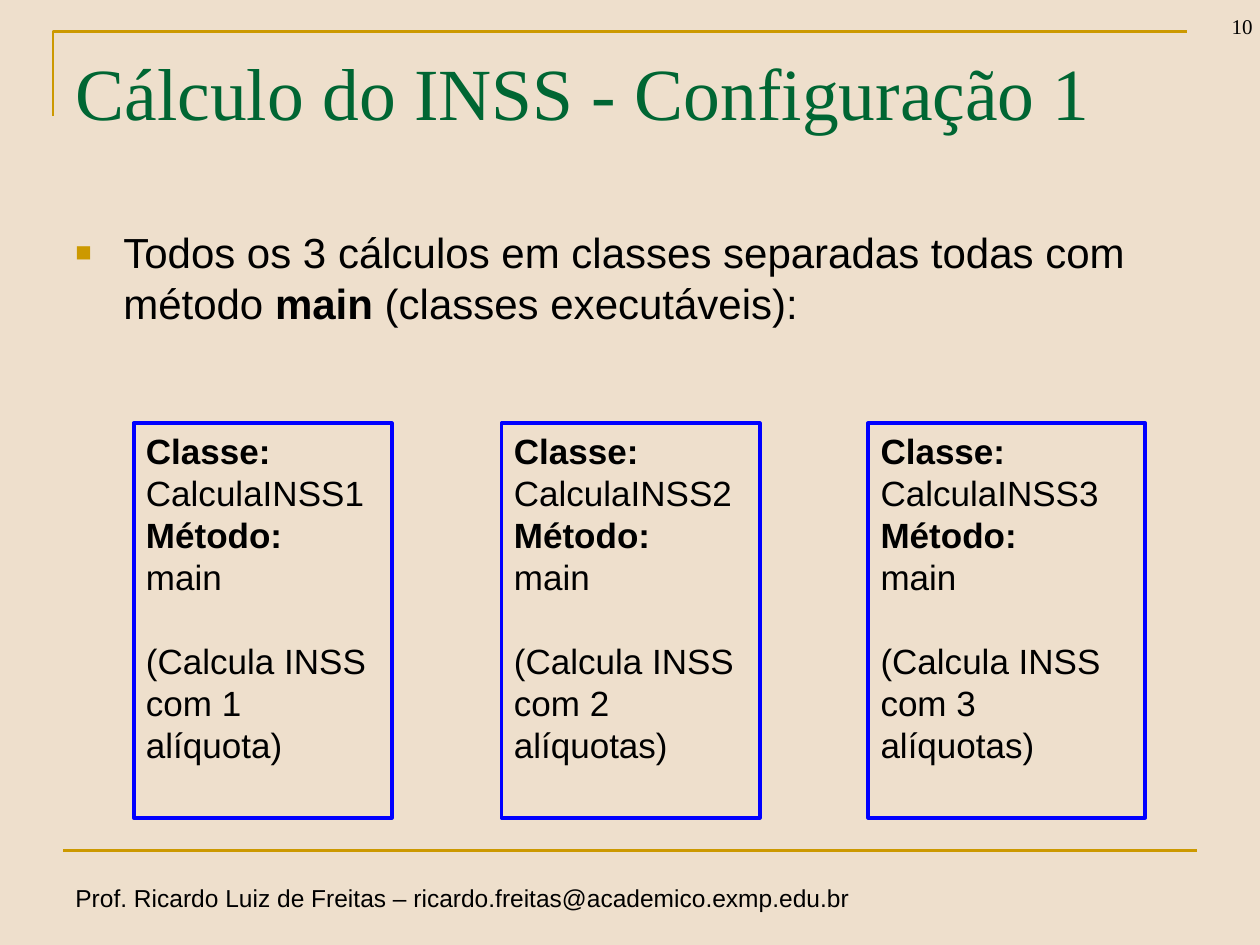
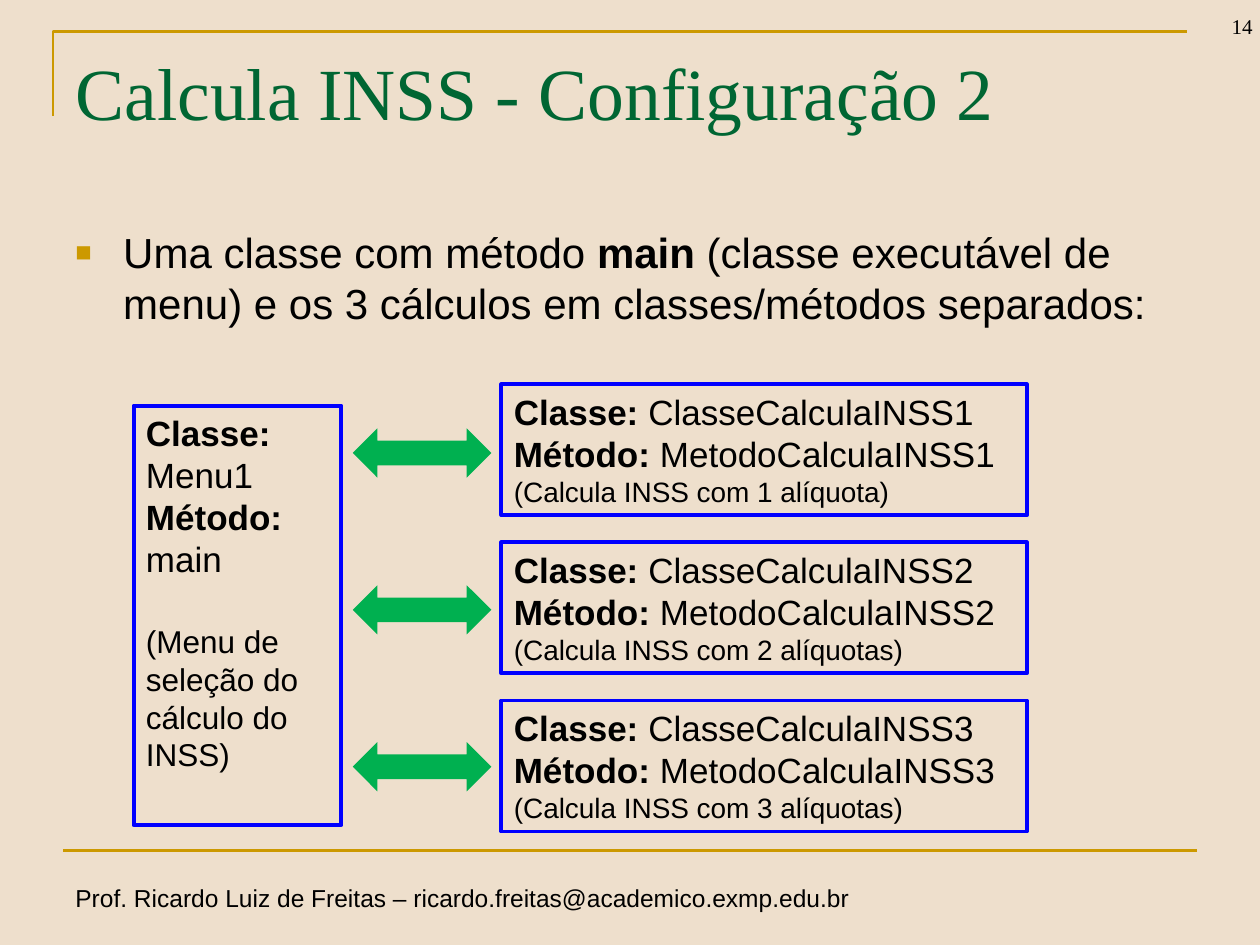
import pptx
import pptx.dml.color
import pptx.enum.shapes
import pptx.enum.text
import pptx.oxml
import pptx.oxml.ns
import pptx.util
from pptx.util import Inches

RGBColor = pptx.dml.color.RGBColor
Shape = pptx.enum.shapes.MSO_SHAPE
Anchor = pptx.enum.text.MSO_ANCHOR
Align = pptx.enum.text.PP_ALIGN

SAND = RGBColor(0xEE, 0xDF, 0xCC)
GOLD = RGBColor(0xCC, 0x99, 0x00)
DARK_GREEN = RGBColor(0x00, 0x66, 0x33)
ARROW_GREEN = RGBColor(0x00, 0xB0, 0x50)
BLUE = RGBColor(0x00, 0x00, 0xFF)
BLACK = RGBColor(0x00, 0x00, 0x00)

SANS = "Arial"
SERIF = "Times New Roman"
LINE_HEIGHT = 1.2
TITLE_ONLY = 5
FOOTER = "Prof. Ricardo Luiz de Freitas – ricardo.freitas@academico.exmp.edu.br"
CLASS_NOTES = ["(Calcula INSS com 1 alíquota)",
               "(Calcula INSS com 2 alíquotas)",
               "(Calcula INSS com 3 alíquotas)"]


def write_paragraph(para, spans, size, font=SANS, color=BLACK, gap=0):
    """Fill a paragraph with (text, bold) spans; gap is the space before it."""
    for text, bold in spans:
        span = para.add_run()
        span.text = text
        if bold:
            span.font.bold = True
    para.alignment = Align.LEFT
    para.line_spacing = pptx.util.Pt(size * LINE_HEIGHT)
    para.space_before = pptx.util.Pt(gap)
    para.font.size = pptx.util.Pt(size)
    para.font.name = font
    para.font.color.rgb = color


def add_text(page, box, spans, size, font=SANS, wrap=True):
    frame = page.shapes.add_textbox(*map(Inches, box)).text_frame
    frame.word_wrap = wrap
    para = frame.paragraphs[0]
    write_paragraph(para, spans, size, font)
    return para


def add_gold_line(line):
    line.color.rgb = GOLD
    line.width = pptx.util.Pt(1.5)


def add_frame_lines(page):
    builder = page.shapes.build_freeform(Inches(0.42), Inches(0.92))
    builder.add_line_segments([(Inches(0.42), Inches(0.25)),
                               (Inches(9.42), Inches(0.25))], close=False)
    corner = builder.convert_to_shape()
    corner.shadow.inherit = False
    corner.fill.background()
    add_gold_line(corner.line)

    rule = page.shapes.add_connector(
        pptx.enum.shapes.MSO_CONNECTOR.STRAIGHT,
        Inches(0.5), Inches(6.75), Inches(9.5), Inches(6.75))
    add_gold_line(rule.line)
    properties = rule._element.spPr
    properties.append(properties.makeelement(pptx.oxml.ns.qn("a:effectLst"), {}))


def set_title(page, text):
    title = page.shapes.title
    title.left, title.top, title.width, title.height = map(
        Inches, (0.5, 0.3, 9, 1.25))
    frame = title.text_frame
    frame.word_wrap = True
    frame.auto_size = pptx.enum.text.MSO_AUTO_SIZE.NONE
    frame.vertical_anchor = Anchor.TOP
    frame.margin_top = Inches(0.07)
    write_paragraph(frame.paragraphs[0], [(text, False)], 42, SERIF, DARK_GREEN)


def add_bullet(page, spans, width):
    para = add_text(page, (0.5, 1.75, width, 1.25), spans, 24)
    properties = para._p.get_or_add_pPr()
    properties.set("marL", str(Inches(0.38)))
    properties.set("indent", str(Inches(-0.38)))
    namespace = pptx.oxml.ns.nsdecls("a")
    run_defaults = properties.find(pptx.oxml.ns.qn("a:defRPr"))
    for xml in (f'<a:buClr {namespace}><a:srgbClr val="{GOLD}"/></a:buClr>',
                f'<a:buSzPct {namespace} val="65000"/>',
                f'<a:buFont {namespace} typeface="{SANS}"/>',
                f'<a:buChar {namespace} char="■"/>'):
        run_defaults.addprevious(pptx.oxml.parse_xml(xml))


def add_page(deck, title, number, bullet, bullet_width=9):
    """Add a slide with the shared frame, title, number, footer and bullet."""
    page = deck.slides.add_slide(deck.slide_layouts[TITLE_ONLY])
    add_frame_lines(page)
    add_text(page, (0.5, 6.96, 6.38, 0.34), [(FOOTER, False)], 14, wrap=False)
    set_title(page, title)
    add_bullet(page, bullet, bullet_width)
    para = add_text(page, (9.29, -0.14, 0.75, 0.5), [(number, False)], 12, SERIF)
    para.alignment = Align.RIGHT
    page.shapes[-1].text_frame.vertical_anchor = Anchor.BOTTOM
    return page


def add_class_box(page, box, lines):
    """Add a blue outlined box; each line is (spans, size, gap before)."""
    shape = page.shapes.add_shape(Shape.RECTANGLE, *map(Inches, box))
    shape.shadow.inherit = False
    shape.fill.background()
    shape.line.color.rgb = BLUE
    shape.line.width = pptx.util.Pt(2.25)
    frame = shape.text_frame
    frame.word_wrap = True
    frame.vertical_anchor = Anchor.TOP
    for index, (spans, size, gap) in enumerate(lines):
        para = frame.add_paragraph() if index else frame.paragraphs[0]
        write_paragraph(para, spans, size, gap=gap)


def add_double_arrow(page, box):
    arrow = page.shapes.add_shape(Shape.LEFT_RIGHT_ARROW, *map(Inches, box))
    arrow.shadow.inherit = False
    arrow.fill.solid()
    arrow.fill.fore_color.rgb = ARROW_GREEN
    arrow.line.fill.background()


def build_separate_classes(deck):
    page = add_page(
        deck, "Cálculo do INSS - Configuração 1", "10",
        [("Todos os 3 cálculos em classes separadas todas com método ", False),
         ("main", True), (" (classes executáveis):", False)], 9.15)
    columns = [(1.06, 2.05), (3.98, 2.05), (6.89, 2.2)]
    for index, ((left, width), note) in enumerate(zip(columns, CLASS_NOTES), 1):
        add_class_box(page, (left, 3.36, width, 3.13), [
            ([("Classe: ", True), (f"CalculaINSS{index}", False)], 20, 0),
            ([("Método:", True)], 20, 0),
            ([("main", False)], 20, 0),
            ([(note, False)], 20, 24)])


def build_menu_and_classes(deck):
    page = add_page(
        deck, "Calcula INSS - Configuração 2", "14",
        [("Uma classe com método ", False), ("main", True),
         (" (classe executável de menu) e os 3 cálculos em "
          "classes/métodos separados:", False)])
    add_class_box(page, (1.06, 3.22, 1.65, 3.33), [
        ([("Classe:", True)], 20, 0),
        ([("Menu1", False)], 20, 0),
        ([("Método:", True)], 20, 0),
        ([("main", False)], 20, 0),
        ([("(Menu de seleção do cálculo do INSS)", False)], 18, 24)])
    for row, note in enumerate(CLASS_NOTES):
        number = row + 1
        add_class_box(page, (3.98, 3.05 + 1.255 * row, 4.17, 1.04), [
            ([("Classe: ", True), (f"ClasseCalculaINSS{number}", False)], 20, 0),
            ([("Método: ", True), (f"MetodoCalculaINSS{number}", False)], 20, 0),
            ([(note, False)], 16, 0)])
        add_double_arrow(page, (2.8, 3.4 + 1.245 * row, 1.1, 0.39))


def main():
    deck = pptx.Presentation()
    deck.slide_width, deck.slide_height = Inches(10), Inches(7.5)
    background = deck.slide_master.background.fill
    background.solid()
    background.fore_color.rgb = SAND
    build_separate_classes(deck)
    build_menu_and_classes(deck)
    deck.save("out.pptx")


if __name__ == "__main__":
    main()
